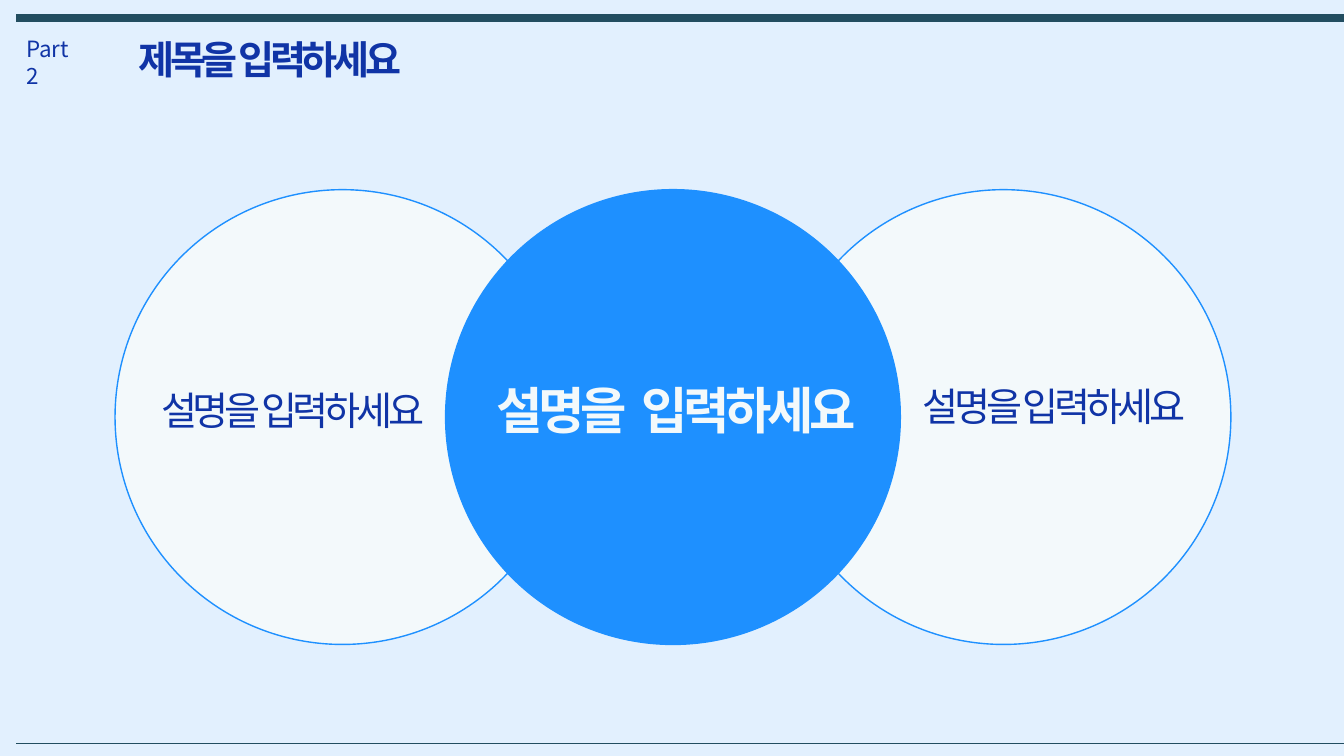
from lxml.etree import SubElement
from pptx import Presentation
from pptx.dml.color import RGBColor
from pptx.enum.shapes import MSO_CONNECTOR, MSO_SHAPE
from pptx.enum.text import MSO_ANCHOR, MSO_AUTO_SIZE, PP_ALIGN
from pptx.oxml.ns import qn
from pptx.util import Cm, Pt

SKY = RGBColor(0xE2, 0xF0, 0xFE)
PALE = RGBColor(0xF3, 0xF9, 0xFB)
BLUE = RGBColor(0x1E, 0x90, 0xFF)
NAVY = RGBColor(0x10, 0x34, 0xA6)
TEAL = RGBColor(0x22, 0x4D, 0x60)
FONT = "Noto Sans CJK KR"
WIDE, HIGH = 33.87, 19.05


def write(shape, runs, size, color, bold=False, align=PP_ALIGN.LEFT, wrap=False):
    """Fill a text shape from (text, letter spacing in points) pairs."""
    frame = shape.text_frame
    frame.word_wrap = wrap
    frame.auto_size = MSO_AUTO_SIZE.NONE
    frame.vertical_anchor = MSO_ANCHOR.TOP
    para = frame.paragraphs[0]
    para.alignment = align
    para.line_spacing = 1.0
    para.space_before = Pt(0)
    for text, space in runs:
        run = para.add_run()
        run.text = text
        font = run.font
        font.name, font.size, font.bold = FONT, Pt(size), bold
        font.color.rgb = color
        props = run._r.get_or_add_rPr()
        props.set("spc", str(space * 100))
        SubElement(props, qn("a:ea")).set("typeface", FONT)


def place(shape, box):
    shape.left, shape.top, shape.width, shape.height = map(Cm, box)


def rule(slide, left, top, weight):
    line = slide.shapes.add_connector(
        MSO_CONNECTOR.STRAIGHT, Cm(left), Cm(top), Cm(WIDE), Cm(top))
    line.line.color.rgb = TEAL
    line.line.width = Pt(weight)
    SubElement(line._element.spPr, qn("a:effectLst"))


def header(slide, left, top):
    # Part number and title under the thick rule
    rule(slide, left, top, 6)
    part = slide.shapes.add_textbox(Cm(left), Cm(top + 0.3), Cm(1.88), Cm(0.94))
    write(part, [("Part 2", 0)], 16, NAVY, wrap=True)
    title = slide.shapes.title
    place(title, (left + 2.82, top + 0.3, 7.75, 1.45))
    write(title, [("제목을 입력하세요", -3)], 28, NAVY, bold=True)


def disc(slide, left, top, size, fill):
    oval = slide.shapes.add_shape(
        MSO_SHAPE.OVAL, Cm(left), Cm(top), Cm(size), Cm(size))
    oval.shadow.inherit = False
    oval.fill.solid()
    oval.fill.fore_color.rgb = fill
    oval.line.color.rgb = BLUE
    oval.line.width = Pt(1)


def trio(slide, left, top, size, step):
    # Outer discs first, so that the middle one overlaps both
    for spot, fill in ((0, PALE), (2, PALE), (1, BLUE)):
        disc(slide, left + spot * step, top, size, fill)

    # Labels, offset from the corner of their disc
    side = [("설명을 입력하세요", -3)]
    main = [("설명을", -3), (" ", 2), ("입력하세요", -3)]
    labels = (
        (0.91, 4.82, 7.75, 1.45, side, 28, NAVY, False, PP_ALIGN.LEFT),
        (0.76, 4.64, 10.11, 1.8, main, 36, PALE, True, PP_ALIGN.CENTER),
        (2.82, 4.72, 7.75, 1.45, side, 28, NAVY, False, PP_ALIGN.RIGHT),
    )
    for spot, (dx, dy, width, height, *style) in enumerate(labels):
        label = slide.shapes.add_textbox(
            Cm(left + spot * step + dx), Cm(top + dy), Cm(width), Cm(height))
        write(label, *style)


def main():
    deck = Presentation()
    deck.slide_width, deck.slide_height = Cm(WIDE), Cm(HIGH)
    slide = deck.slides.add_slide(deck.slide_layouts[5])
    slide.background.fill.solid()
    slide.background.fill.fore_color.rgb = SKY
    header(slide, 0.41, 0.46)
    trio(slide, 2.9, 4.78, 11.46, 8.33)
    # Thin rule at the foot
    rule(slide, 0.41, 18.72, 0.25)
    deck.save("out.pptx")


if __name__ == "__main__":
    main()
